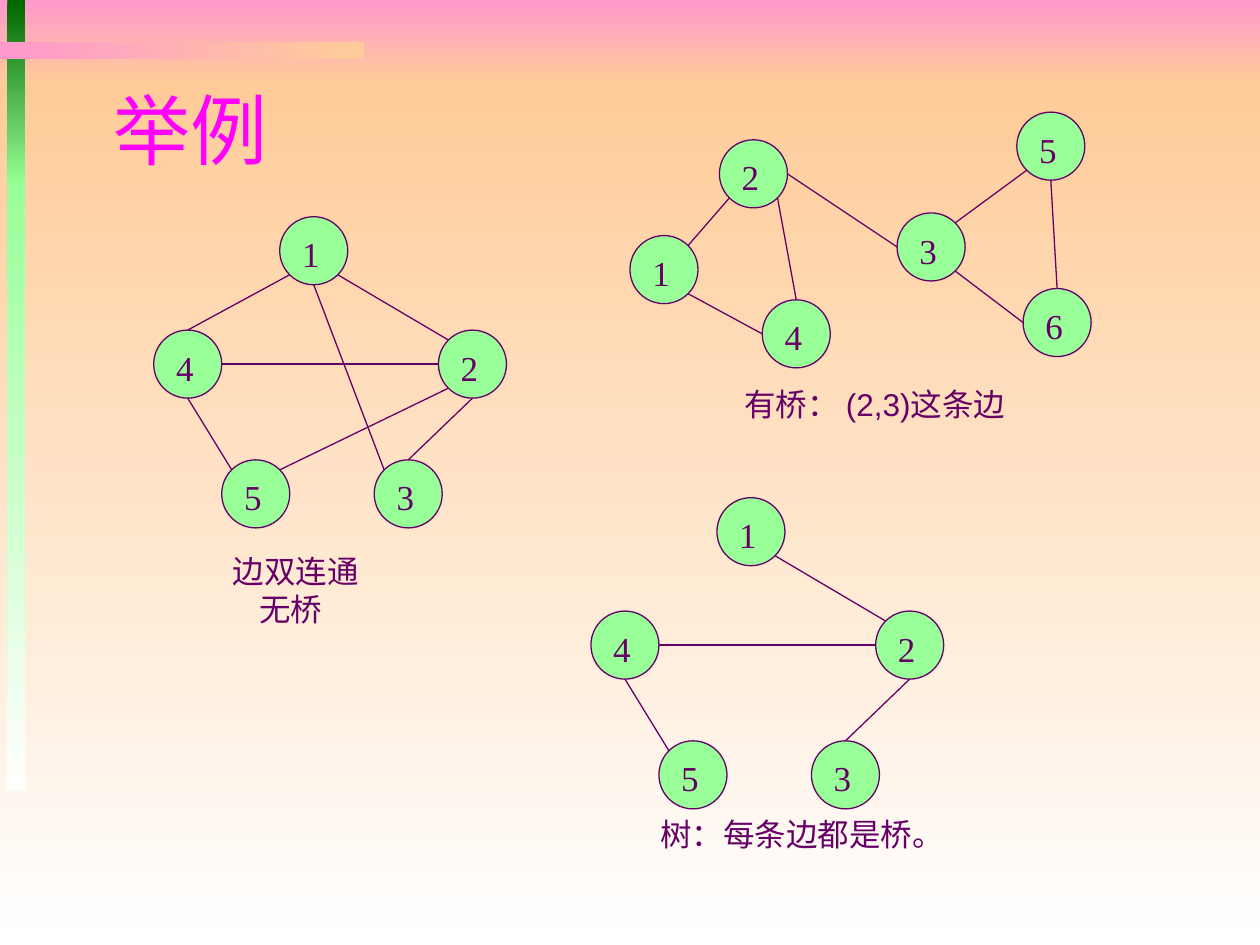
from dataclasses import dataclass
from enum import Enum
from math import sqrt

from lxml import etree
from pptx import Presentation
from pptx.dml.color import RGBColor
from pptx.enum.shapes import MSO_CONNECTOR, MSO_SHAPE
from pptx.enum.text import MSO_ANCHOR, PP_ALIGN
from pptx.oxml.ns import qn
from pptx.util import Inches, Pt

RECTANGLE, OVAL = MSO_SHAPE.RECTANGLE, MSO_SHAPE.OVAL
STRAIGHT = MSO_CONNECTOR.STRAIGHT
LEFT, MIDDLE, TOP = PP_ALIGN.LEFT, MSO_ANCHOR.MIDDLE, MSO_ANCHOR.TOP
TITLE_ONLY = 5
NODE_SIZE = 0.54
DIAGONAL = 1 / sqrt(2)


@dataclass(frozen=True)
class Theme:
    ink: str = "660066"
    node: str = "99FF99"
    title: str = "FF00FF"
    pink: str = "FF99CC"
    peach: str = "FFCC99"
    forest: str = "006600"
    white: str = "FFFFFF"
    title_font: str = "Roboto Condensed"
    node_font: str = "Times New Roman"
    caption_font: str = "Arial"
    title_size: int = 44
    node_size: int = 20
    caption_size: int = 18
    line_width: float = 0.75


THEME = Theme()


class Side(Enum):
    N = (0, -1)
    S = (0, 1)
    W = (-1, 0)
    E = (1, 0)
    NW = (-DIAGONAL, -DIAGONAL)
    NE = (DIAGONAL, -DIAGONAL)
    SW = (-DIAGONAL, DIAGONAL)
    SE = (DIAGONAL, DIAGONAL)


N, S, W, E, NW, NE, SW, SE = Side


@dataclass(frozen=True)
class Band:
    left: float
    top: float
    width: float
    height: float
    start: str
    end: str
    angle: int = 270


@dataclass(frozen=True)
class Edge:
    start: int
    start_side: Side
    end: int
    end_side: Side


@dataclass(frozen=True)
class Caption:
    lines: tuple
    left: float
    top: float
    width: float
    height: float = 0.4
    indent: float = 0


@dataclass(frozen=True)
class Graph:
    nodes: dict
    edges: tuple
    caption: Caption
    offset: tuple = (0, 0)


BANDS = (
    Band(0, 0, 10, 0.67, THEME.pink, THEME.peach),
    Band(0, 0.67, 10, 6.83, THEME.peach, THEME.white),
    Band(0.06, 0, 0.14, 1.48, THEME.forest, THEME.node),
    Band(0.06, 1.46, 0.14, 4.81, THEME.node, THEME.white),
    Band(0, 0.33, 2.89, 0.14, THEME.pink, THEME.peach, 0),
)

PENTAGON = {1: (2.22, 1.72), 4: (1.22, 2.62), 2: (3.48, 2.62),
            3: (2.97, 3.65), 5: (1.76, 3.65)}
TREE_EDGES = (Edge(1, SE, 2, NW), Edge(2, S, 3, N),
              Edge(2, W, 4, E), Edge(4, S, 5, NW))
CYCLE_EDGES = (Edge(1, SW, 4, N), Edge(5, NE, 2, SW), Edge(3, NW, 1, S))

GRAPHS = (
    Graph(PENTAGON, TREE_EDGES + CYCLE_EDGES,
          Caption(("边双连通", "无桥"), 1.75, 4.33, 1.67, 0.71, 0.21)),
    Graph(PENTAGON, TREE_EDGES,
          Caption(("树：每条边都是桥。",), 5.14, 6.42, 2.5), (3.47, 2.23)),
    Graph({2: (5.71, 1.11), 1: (5, 1.87), 4: (6.05, 2.38),
           3: (7.12, 1.69), 6: (8.12, 2.29), 5: (8.07, 0.89)},
          (Edge(1, NE, 2, SW), Edge(1, SE, 4, W), Edge(2, SE, 4, N),
           Edge(5, S, 6, N), Edge(5, SW, 3, NE), Edge(6, W, 3, SE),
           Edge(3, W, 2, E)),
          Caption(("有桥： (2,3)这条边",), 5.81, 3.01, 2.5)),
)


def rgb(value: str) -> RGBColor:
    return RGBColor.from_string(value)


def format_text(paragraph, font_name: str, size: int, color: str) -> None:
    paragraph.alignment = LEFT
    for run in paragraph.runs:
        run.font.name = font_name
        run.font.size = Pt(size)
        run.font.color.rgb = rgb(color)


def draw_band(shapes, band: Band) -> None:
    bar = shapes.add_shape(RECTANGLE, Inches(band.left), Inches(band.top),
                           Inches(band.width), Inches(band.height))
    bar.shadow.inherit = False
    bar.line.fill.background()
    bar.fill.gradient()
    bar.fill.gradient_angle = band.angle
    for stop, color in zip(bar.fill.gradient_stops, (band.start, band.end)):
        stop.color.rgb = rgb(color)


def draw_title(slide, wording: str) -> None:
    title = slide.shapes.title
    title.left, title.top = Inches(0.8), Inches(0.57)
    title.width, title.height = Inches(8.5), Inches(0.9)
    title.text_frame.text = wording
    title.text_frame.vertical_anchor = MIDDLE
    format_text(title.text_frame.paragraphs[0], THEME.title_font,
                THEME.title_size, THEME.title)
    title.element.getparent().append(title.element)


def draw_node(shapes, number: int, left: float, top: float) -> None:
    node = shapes.add_shape(OVAL, Inches(left), Inches(top),
                            Inches(NODE_SIZE), Inches(NODE_SIZE))
    node.shadow.inherit = False
    node.fill.solid()
    node.fill.fore_color.rgb = rgb(THEME.node)
    node.line.color.rgb = rgb(THEME.ink)
    node.line.width = Pt(THEME.line_width)
    node.text_frame.text = str(number)
    node.text_frame.vertical_anchor = TOP
    format_text(node.text_frame.paragraphs[0], THEME.node_font,
                THEME.node_size, THEME.ink)


def rim_point(corner: tuple, side: Side) -> list:
    radius = NODE_SIZE / 2
    return [Inches(start + radius * (1 + direction))
            for start, direction in zip(corner, side.value)]


def draw_edge(shapes, edge: Edge, corners: dict) -> None:
    link = shapes.add_connector(
        STRAIGHT, *rim_point(corners[edge.start], edge.start_side),
        *rim_point(corners[edge.end], edge.end_side))
    link.line.color.rgb = rgb(THEME.ink)
    link.line.width = Pt(THEME.line_width)
    etree.SubElement(link.element.spPr, qn("a:effectLst"))


def draw_caption(shapes, caption: Caption) -> None:
    box = shapes.add_textbox(Inches(caption.left), Inches(caption.top),
                             Inches(caption.width), Inches(caption.height))
    frame = box.text_frame
    frame.word_wrap = True
    frame.text = "\n".join(caption.lines)
    for paragraph in frame.paragraphs:
        format_text(paragraph, THEME.caption_font, THEME.caption_size, THEME.ink)
    for paragraph in frame.paragraphs[1:]:
        paragraph._p.get_or_add_pPr().set("marL", str(Inches(caption.indent)))


def draw_graph(slide, graph: Graph) -> None:
    shapes = slide.shapes.add_group_shape().shapes
    dx, dy = graph.offset
    corners = {number: (x + dx, y + dy) for number, (x, y) in graph.nodes.items()}
    for number, corner in corners.items():
        draw_node(shapes, number, *corner)
    for edge in graph.edges:
        draw_edge(shapes, edge, corners)
    draw_caption(shapes, graph.caption)


def main() -> None:
    deck = Presentation()
    deck.slide_width, deck.slide_height = Inches(10), Inches(7.5)
    slide = deck.slides.add_slide(deck.slide_layouts[TITLE_ONLY])
    for band in BANDS:
        draw_band(slide.shapes, band)
    draw_title(slide, "举例")
    for graph in GRAPHS:
        draw_graph(slide, graph)
    deck.save("out.pptx")


if __name__ == "__main__":
    main()
